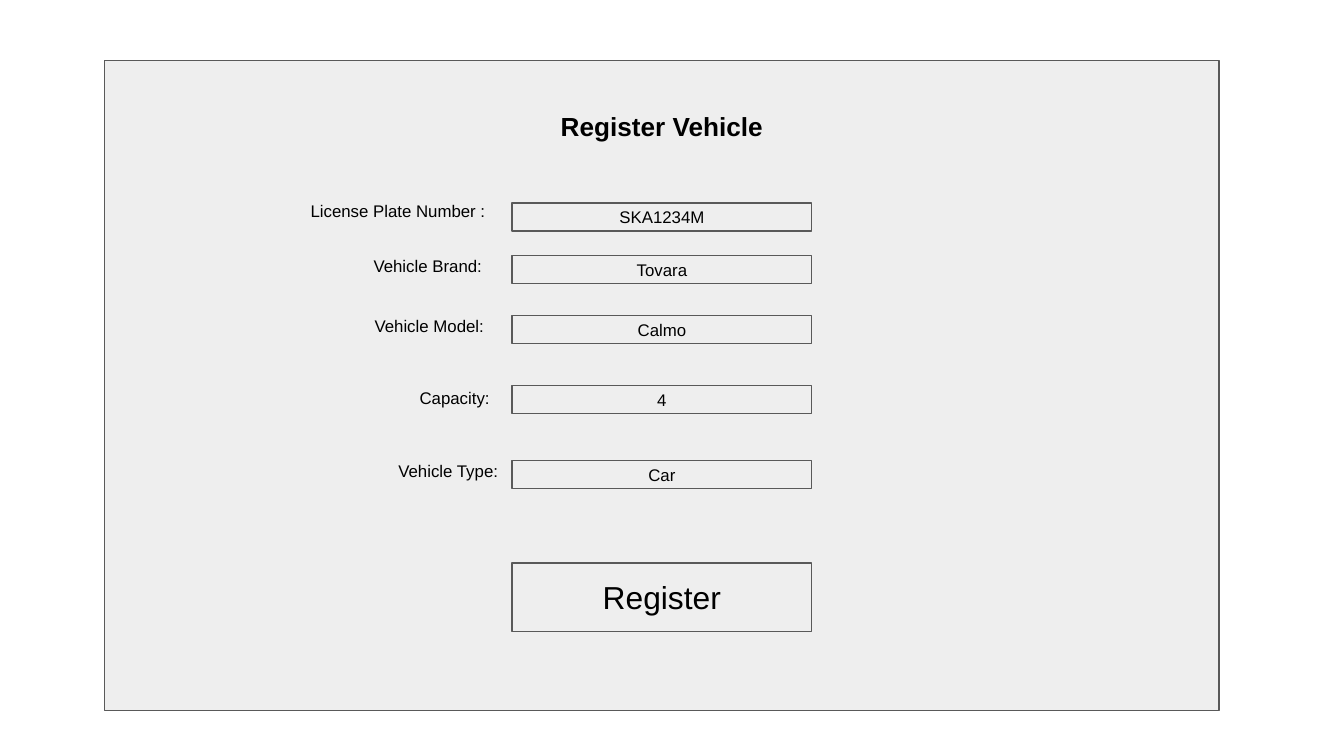
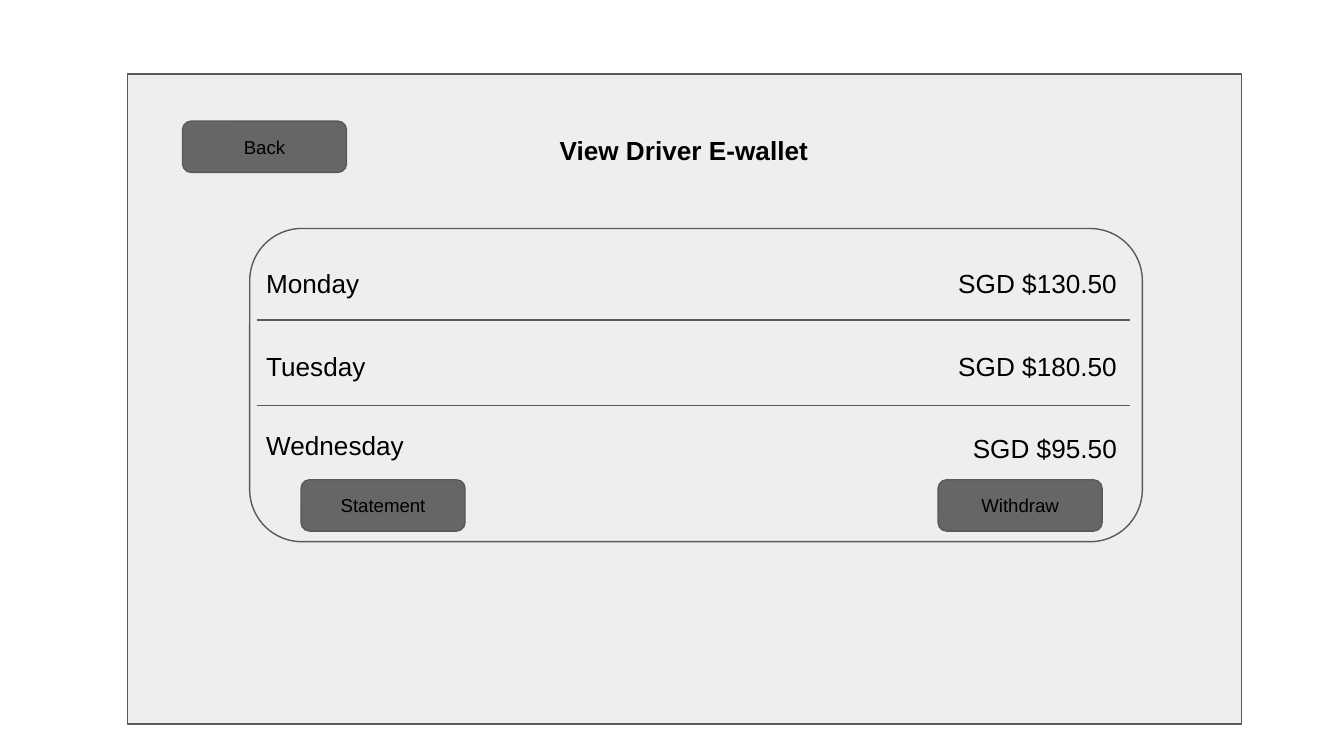
"""Build two wireframe slides: a vehicle registration form and a driver e-wallet."""
from dataclasses import dataclass

import lxml.etree
import pptx
import pptx.dml.color
import pptx.enum.shapes
import pptx.enum.text
import pptx.oxml.ns
import pptx.presentation
import pptx.shapes.autoshape
import pptx.slide
import pptx.util

Cm = pptx.util.Cm
Pt = pptx.util.Pt
Align = pptx.enum.text.PP_ALIGN
Anchor = pptx.enum.text.MSO_ANCHOR
Preset = pptx.enum.shapes.MSO_SHAPE

BLACK = pptx.dml.color.RGBColor(0x00, 0x00, 0x00)
PANEL_GRAY = pptx.dml.color.RGBColor(0xEE, 0xEE, 0xEE)
BUTTON_GRAY = pptx.dml.color.RGBColor(0x66, 0x66, 0x66)
OUTLINE_GRAY = pptx.dml.color.RGBColor(0x59, 0x59, 0x59)

FONT = "Arial"
HEADING_SIZE, FIELD_SIZE, BUTTON_SIZE, REGISTER_SIZE = 14, 9, 10, 17
OUTLINE_WIDTH = Pt(0.75)
INSET = Cm(0.25)


@dataclass(frozen=True)
class Box:
    """Position and size in centimetres."""

    left: float
    top: float
    width: float
    height: float


@dataclass(frozen=True)
class Field:
    """A form field: its value and the label to its left."""

    label: str
    value: str
    top: float
    label_box: Box
    indent: float


@dataclass(frozen=True)
class Earning:
    """One day's earnings in the wallet."""

    day: str
    amount: str
    day_box: Box
    amount_box: Box


@dataclass(frozen=True)
class Button:
    """A dark rounded button."""

    text: str
    left: float
    top: float


FIELD_LEFT, FIELD_WIDTH, FIELD_HEIGHT = 9.68, 5.66, 0.53
LABEL_HEIGHT = 0.84
FIELDS = (
    Field("License Plate Number :", "SKA1234M", 3.84, Box(5.21, 3.61, 4.65, LABEL_HEIGHT), 0.41),
    Field("Vehicle Brand:", "Tovara", 4.83, Box(5.21, 4.65, 4.98, LABEL_HEIGHT), 1.6),
    Field("Vehicle Model:", "Calmo", 5.97, Box(5.31, 5.77, 4.78, LABEL_HEIGHT), 1.52),
    Field("Capacity:", "4", 7.29, Box(5.13, 7.14, 4.78, LABEL_HEIGHT), 2.55),
    Field("Vehicle Type:", "Car", 8.71, Box(5.13, 8.51, 4.78, LABEL_HEIGHT), 2.15),
)

ROW_HEIGHT = 0.99
EARNINGS = (
    Earning("Monday", "SGD $130.50", Box(4.78, 4.8, 2.92, ROW_HEIGHT), Box(17.6, 4.8, 3.76, ROW_HEIGHT)),
    Earning("Tuesday", "SGD $180.50", Box(4.78, 6.38, 2.92, ROW_HEIGHT), Box(17.6, 6.38, 3.76, ROW_HEIGHT)),
    Earning("Wednesday", "SGD $95.50", Box(4.78, 7.87, 3.4, ROW_HEIGHT), Box(17.73, 7.92, 3.63, ROW_HEIGHT)),
)
DIVIDER_LEFT, DIVIDER_RIGHT = 4.85, 21.36
DIVIDER_TOPS = (6.05, 7.67)

BUTTON_WIDTH, BUTTON_HEIGHT = 3.1, 0.97
BUTTONS = (
    Button("Back", 3.45, 2.29),
    Button("Statement", 5.69, 9.07),
    Button("Withdraw", 17.73, 9.07),
)


def place(box: Box) -> tuple[pptx.util.Length, ...]:
    """Return the box as lengths for the shape methods."""
    return Cm(box.left), Cm(box.top), Cm(box.width), Cm(box.height)


def write(
    shape: pptx.shapes.autoshape.Shape,
    text: str,
    size: float,
    align: Align,
    anchor: Anchor,
    bold: bool = False,
    indent: float = 0,
) -> None:
    """Fill a shape with one styled paragraph."""
    frame = shape.text_frame
    frame.word_wrap = True
    frame.vertical_anchor = anchor
    frame.margin_left = frame.margin_right = INSET
    frame.margin_top = frame.margin_bottom = INSET
    paragraph = frame.paragraphs[0]
    paragraph.text = text
    paragraph.alignment = align
    paragraph.font.name = FONT
    paragraph.font.size = Pt(size)
    paragraph.font.bold = bold
    paragraph.font.color.rgb = BLACK
    if indent:
        paragraph._p.get_or_add_pPr().set("marL", str(int(Cm(indent))))


def add_text(
    slide: pptx.slide.Slide,
    box: Box,
    text: str,
    size: float = HEADING_SIZE,
    align: Align = Align.LEFT,
    bold: bool = False,
    indent: float = 0,
) -> None:
    """Add a text box."""
    write(slide.shapes.add_textbox(*place(box)), text, size, align, Anchor.TOP, bold, indent)


def add_block(
    slide: pptx.slide.Slide,
    box: Box,
    text: str = "",
    size: float = FIELD_SIZE,
    preset: Preset = Preset.RECTANGLE,
    fill: pptx.dml.color.RGBColor = PANEL_GRAY,
) -> None:
    """Add an outlined shape with optional centred text."""
    shape = slide.shapes.add_shape(preset, *place(box))
    shape.shadow.inherit = False
    shape.fill.solid()
    shape.fill.fore_color.rgb = fill
    shape.line.color.rgb = OUTLINE_GRAY
    shape.line.width = OUTLINE_WIDTH
    if text:
        write(shape, text, size, Align.CENTER, Anchor.MIDDLE)


def add_divider(slide: pptx.slide.Slide, top: float) -> None:
    """Add a line between two wallet rows."""
    connector = slide.shapes.add_connector(
        pptx.enum.shapes.MSO_CONNECTOR.STRAIGHT,
        Cm(DIVIDER_LEFT), Cm(top), Cm(DIVIDER_RIGHT), Cm(top),
    )
    connector.line.color.rgb = OUTLINE_GRAY
    connector.line.width = OUTLINE_WIDTH
    lxml.etree.SubElement(connector._element.spPr, pptx.oxml.ns.qn("a:effectLst"))


def add_screen(
    presentation: pptx.presentation.Presentation, left: float, top: float, title: str, title_box: Box
) -> pptx.slide.Slide:
    """Add a blank slide with the screen panel and its title."""
    slide = presentation.slides.add_slide(presentation.slide_layouts[6])
    add_block(slide, Box(left, top, 21.06, 12.29))
    add_text(slide, title_box, title, align=Align.CENTER, bold=True)
    return slide


def build_register_slide(presentation: pptx.presentation.Presentation) -> None:
    """Build the vehicle registration form."""
    slide = add_screen(presentation, 1.98, 1.14, "Register Vehicle", Box(9.27, 1.83, 6.48, 1.93))
    for field in FIELDS:
        add_block(slide, Box(FIELD_LEFT, field.top, FIELD_WIDTH, FIELD_HEIGHT), field.value)
        add_text(slide, field.label_box, field.label, FIELD_SIZE, indent=field.indent)
    add_block(slide, Box(FIELD_LEFT, 10.64, FIELD_WIDTH, 1.3), "Register", REGISTER_SIZE)


def build_wallet_slide(presentation: pptx.presentation.Presentation) -> None:
    """Build the driver's e-wallet."""
    slide = add_screen(presentation, 2.41, 1.4, "View Driver E-wallet", Box(3.45, 2.29, 18.95, 1.19))
    add_block(slide, Box(4.72, 4.32, 16.87, 5.92), preset=Preset.ROUNDED_RECTANGLE)
    for earning in EARNINGS:
        add_text(slide, earning.day_box, earning.day)
        add_text(slide, earning.amount_box, earning.amount, align=Align.RIGHT)
    for top in DIVIDER_TOPS:
        add_divider(slide, top)
    for button in BUTTONS:
        box = Box(button.left, button.top, BUTTON_WIDTH, BUTTON_HEIGHT)
        add_block(slide, box, button.text, BUTTON_SIZE, Preset.ROUNDED_RECTANGLE, BUTTON_GRAY)


def main() -> None:
    """Create and save the presentation."""
    presentation = pptx.Presentation()
    presentation.slide_width = Cm(25.4)
    presentation.slide_height = Cm(14.29)
    build_register_slide(presentation)
    build_wallet_slide(presentation)
    presentation.save("out.pptx")


if __name__ == "__main__":
    main()
